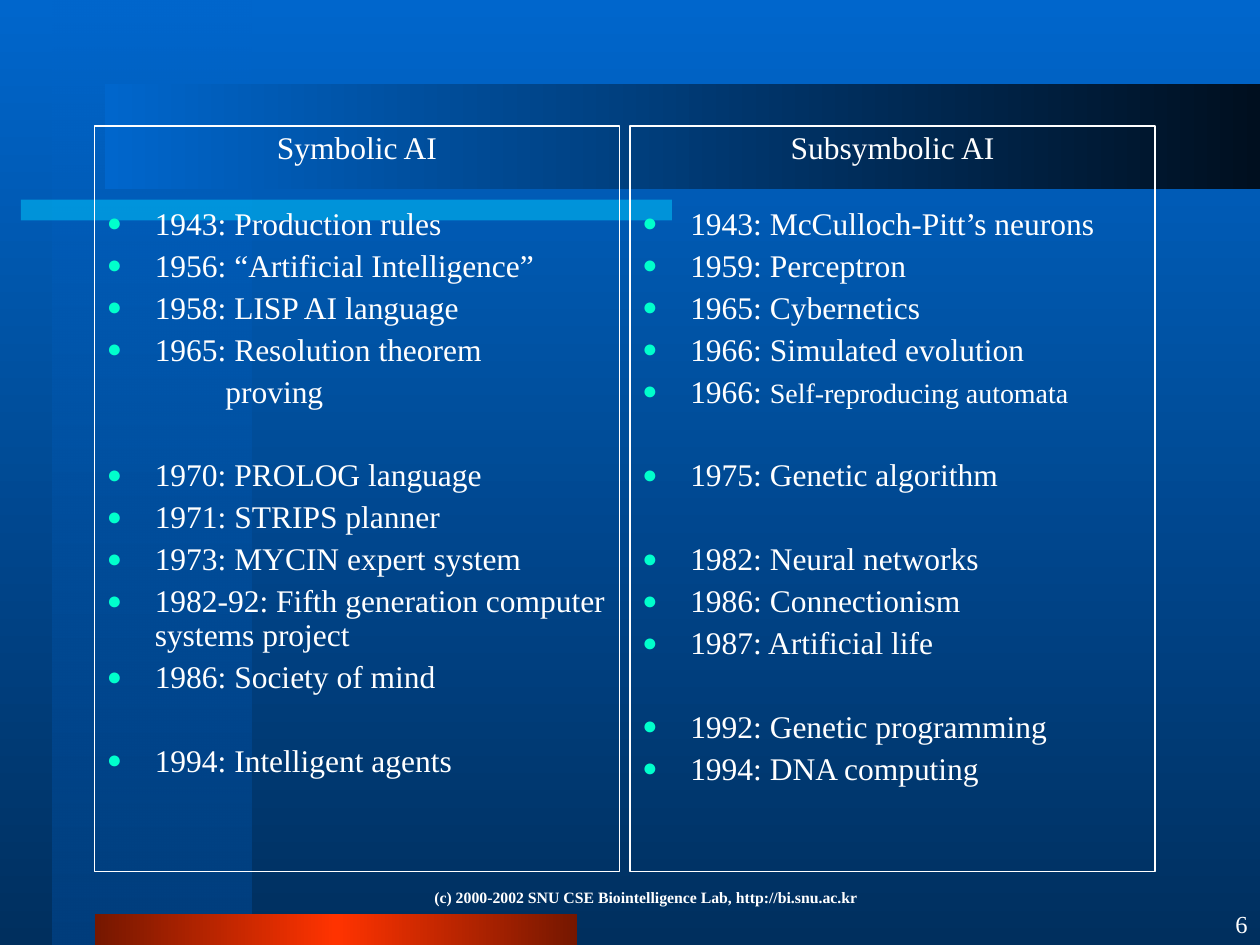
from lxml.etree import SubElement
from pptx import Presentation
from pptx.dml.color import RGBColor
from pptx.enum.shapes import MSO_SHAPE
from pptx.enum.text import MSO_ANCHOR, PP_ALIGN
from pptx.oxml.ns import qn
from pptx.util import Inches, Pt

HUE = {"sky": "0066CC", "deep": "002F5E", "navy": "003E7D", "night": "000F1F",
       "cyan": "00CCFF", "rust": "751700", "red": "FF3300",
       "white": "FFFFFF", "mint": "00FFCC"}
FONT = "Times New Roman"
UNIT = Inches(10) // 120  # grid of 120 columns by 90 rows

# Each panel: groups of entries, set apart by a gap.
# An entry may be a pair of lead and smaller text; one without a year runs on.
LEFT = [["1943: Production rules", "1956: “Artificial Intelligence”",
         "1958: LISP AI language", "1965: Resolution theorem", "proving"],
        ["1970: PROLOG language", "1971: STRIPS planner",
         "1973: MYCIN expert system",
         "1982-92: Fifth generation computer systems project",
         "1986: Society of mind"],
        ["1994: Intelligent agents"]]
RIGHT = [["1943: McCulloch-Pitt’s neurons", "1959: Perceptron",
          "1965: Cybernetics", "1966: Simulated evolution",
          ("1966: ", "Self-reproducing automata")],
         ["1975: Genetic algorithm"],
         ["1982: Neural networks", "1986: Connectionism",
          "1987: Artificial life"],
         ["1992: Genetic programming", "1994: DNA computing"]]


def rgb(name):
    return RGBColor.from_string(HUE[name])


def grid(box):
    return [n * UNIT for n in box]


def fade(color, share):
    SubElement(color, qn("a:alpha"), val=str(share * 1000))


def blend(fill, root, stops, angle):
    """Fill with stops of (place, colour, opacity); angle runs clockwise."""
    fill.gradient()
    fill.gradient_angle = 360 - angle
    group = next(root.iter(qn("a:gsLst")))
    group.clear()
    for place, name, share in stops:
        stop = SubElement(group, qn("a:gs"), pos=str(place * 1000))
        color = SubElement(stop, qn("a:srgbClr"), val=HUE[name])
        if share < 100:
            fade(color, share)


def block(slide, box):
    shape = slide.shapes.add_shape(MSO_SHAPE.RECTANGLE, *grid(box))
    shape.shadow.inherit = False
    shape.line.fill.background()
    return shape


def style(para, size, bold=False):
    for run in para.runs:
        run.font.name = FONT
        run.font.size = Pt(size)
        run.font.bold = bold
        run.font.color.rgb = rgb("white")


def indent(para, left, first):
    props = para._p.get_or_add_pPr()
    props.set("marL", str(Inches(left)))
    props.set("indent", str(Inches(first)))
    return props


def bullet(para):
    props = indent(para, 0.38, -0.38)
    tint = SubElement(props, qn("a:buClr"))
    SubElement(tint, qn("a:srgbClr"), val=HUE["mint"])
    SubElement(props, qn("a:buSzPct"), val="80000")
    SubElement(props, qn("a:buFont"), typeface=FONT)
    SubElement(props, qn("a:buChar"), char="●")


def decor(slide):
    blend(slide.background.fill, slide.element,
          [(0, "sky", 100), (100, "deep", 100)], 90)
    # Side column
    side = block(slide, (5, 0, 19, 90))
    blend(side.fill, side.element, [(0, "sky", 50), (100, "navy", 100)], 90)
    # Cyan stripe
    stripe = block(slide, (2, 19, 62, 2))
    stripe.fill.solid()
    stripe.fill.fore_color.rgb = rgb("cyan")
    fade(next(stripe.element.spPr.iter(qn("a:srgbClr"))), 50)
    # Red foot bar
    foot = block(slide, (9, 87, 46, 3))
    blend(foot.fill, foot.element,
          [(0, "rust", 100), (50, "red", 100), (100, "rust", 100)], 180)
    # Dark title band
    band = block(slide, (10, 8, 110, 10))
    blend(band.fill, band.element,
          [(0, "night", 100), (100, "sky", 100)], 180)


def panel(slide, box, title, groups):
    frame = block(slide, box)
    frame.fill.background()
    frame.line.color.rgb = rgb("white")
    frame.line.width = Pt(0.75)
    body = frame.text_frame
    body.word_wrap = True
    body.vertical_anchor = MSO_ANCHOR.TOP
    # Heading
    head = body.paragraphs[0]
    head.text = title
    head.alignment = PP_ALIGN.CENTER
    head.line_spacing = 0.9
    style(head, 18)
    # Dated entries
    for part, group in enumerate(groups):
        for row, entry in enumerate(group):
            lead, small = entry if isinstance(entry, tuple) else (entry, "")
            para = body.add_paragraph()
            para.text = lead
            para.alignment = PP_ALIGN.LEFT
            para.line_spacing = 0.9
            gap = 28.5 if part else 24
            para.space_before = Pt(4.5 if row else gap)
            if lead[0].isdigit():
                bullet(para)
            else:
                indent(para, 0.94, 0)
            style(para, 18)
            if small:
                run = para.add_run()
                run.text = small
                style(para, 18)
                run.font.size = Pt(16)


def label(slide, box, text, size, align, anchor, bold=False):
    body = slide.shapes.add_textbox(*grid(box)).text_frame
    body.word_wrap = True
    body.vertical_anchor = anchor
    para = body.paragraphs[0]
    para.text = text
    para.alignment = align
    style(para, size, bold)


def main():
    deck = Presentation()
    deck.slide_width, deck.slide_height = 120 * UNIT, 90 * UNIT
    slide = deck.slides.add_slide(deck.slide_layouts[6])
    decor(slide)
    panel(slide, (9, 12, 50, 71), "Symbolic AI", LEFT)
    panel(slide, (60, 12, 50, 71), "Subsymbolic AI", RIGHT)
    # Footer and page number
    label(slide, (35, 84, 53, 3),
          "(c) 2000-2002 SNU CSE Biointelligence Lab, http://bi.snu.ac.kr",
          9, PP_ALIGN.CENTER, MSO_ANCHOR.TOP, True)
    label(slide, (99, 86, 21, 4), "6", 14, PP_ALIGN.RIGHT, MSO_ANCHOR.MIDDLE)
    deck.save("out.pptx")


if __name__ == "__main__":
    main()
